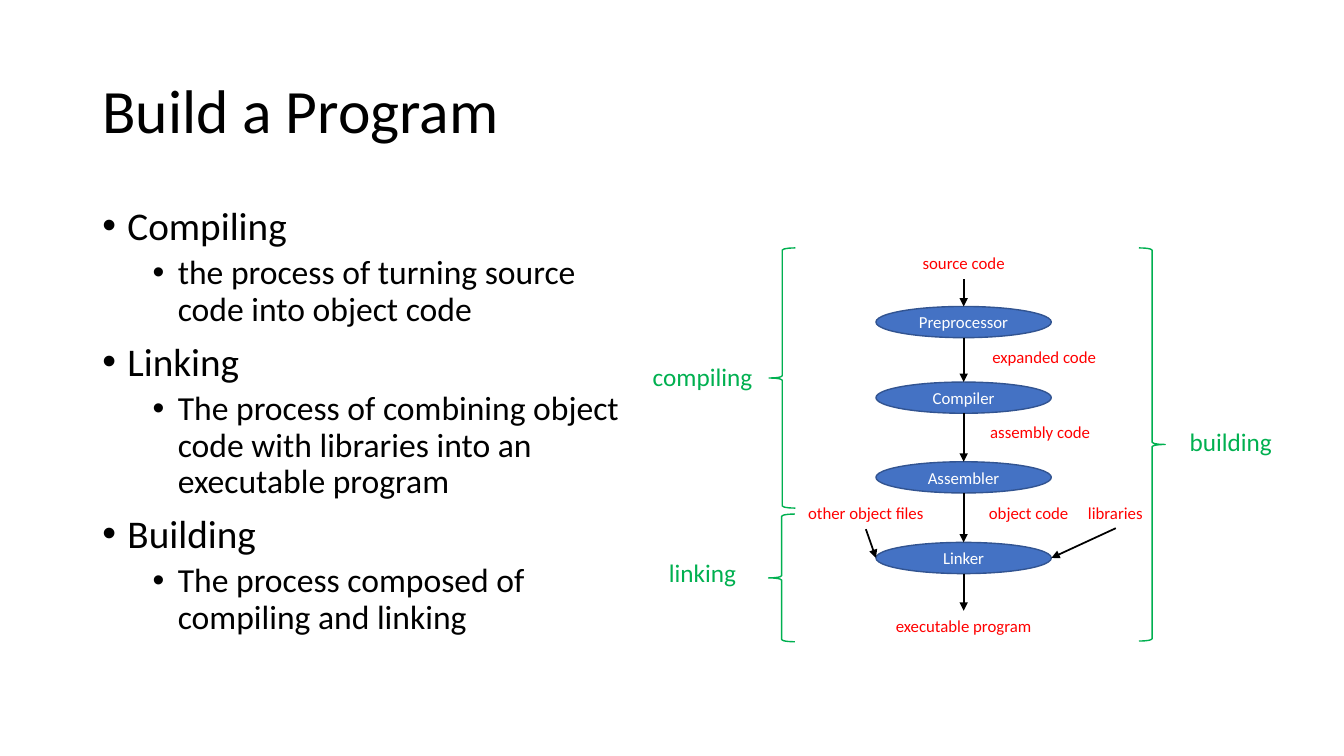
"""Build a slide on how a program is compiled, linked and built."""
from dataclasses import dataclass

from lxml import etree
from pptx import Presentation
from pptx import util as u
from pptx.dml.color import RGBColor
from pptx.enum import shapes, text
from pptx.oxml.ns import qn


@dataclass(frozen=True)
class Theme:
    font: str = "Calibri"
    ink: str = "000000"
    paper: str = "FFFFFF"
    oval: str = "4472C4"
    edge: str = "325491"
    code: str = "FF0000"
    phase: str = "00B050"
    title: int = 44
    points: tuple = (28, 24)
    large: int = 18
    small: int = 12


def write(frame, words, size, color, align="LEFT", anchor="TOP", lines=1.0,
          before=0, indent=None, first=True):
    frame.word_wrap = True
    frame.vertical_anchor = text.MSO_ANCHOR[anchor]
    para = frame.paragraphs[0] if first else frame.add_paragraph()
    para.alignment = text.PP_ALIGN[align]
    para.line_spacing = lines
    para.space_before = u.Pt(before)
    run = para.add_run()
    run.text = words
    run.font.name = Theme.font
    run.font.size = u.Pt(size)
    run.font.color.rgb = RGBColor.from_string(color)
    if indent is not None:
        props = para._p.get_or_add_pPr()
        props.set("marL", str(u.Pt(indent)))
        props.set("indent", str(u.Pt(-18)))
        etree.SubElement(props, qn("a:buFont"), typeface="Arial")
        etree.SubElement(props, qn("a:buChar"), char="•")


class Pen:
    def __init__(self, slide, theme):
        self.slide, self.theme = slide, theme

    def box(self, *area):
        return self.slide.shapes.add_textbox(*map(u.Pt, area)).text_frame

    def label(self, words, left, top, width, height=21.6, **style):
        look = dict(size=self.theme.small, color=self.theme.code, align="CENTER")
        write(self.box(left, top, width, height), words, **{**look, **style})

    def bullets(self, area, items):
        frame = self.box(*area)
        for row, (level, words) in enumerate(items):
            write(frame, words, self.theme.points[level], self.theme.ink,
                  lines=0.9, before=(10, 5)[level], indent=18 + 36 * level,
                  first=row == 0)

    def shape(self, kind, area, edge, fill=None):
        item = self.slide.shapes.add_shape(shapes.MSO_SHAPE[kind], *map(u.Pt, area))
        item.shadow.inherit = False
        item.line.color.rgb = RGBColor.from_string(edge)
        item.line.width = u.Pt(1)
        if fill:
            item.fill.solid()
            item.fill.fore_color.rgb = RGBColor.from_string(fill)
        else:
            item.fill.background()
        return item

    def oval(self, words, *area):
        item = self.shape("OVAL", area, self.theme.edge, self.theme.oval)
        write(item.text_frame, words, self.theme.small, self.theme.paper,
              align="CENTER", anchor="MIDDLE")

    def brace(self, side, *area):
        self.shape(side + "_BRACE", area, self.theme.phase)

    def arrow(self, *ends):
        item = self.slide.shapes.add_connector(
            shapes.MSO_CONNECTOR.STRAIGHT, *map(u.Pt, ends))
        item.line.color.rgb = RGBColor.from_string(self.theme.ink)
        item.line.width = u.Pt(1.25)
        etree.SubElement(item.line._get_or_add_ln(), qn("a:tailEnd"), type="triangle")
        etree.SubElement(item._element.spPr, qn("a:effectLst"))


def main():
    deck = Presentation()
    deck.slide_width, deck.slide_height = u.Pt(960), u.Pt(540)
    theme = Theme()
    pen = Pen(deck.slides.add_slide(deck.slide_layouts[6]), theme)

    write(pen.box(66, 28.8, 828, 104.4), "Build a Program", theme.title,
          theme.ink, anchor="MIDDLE", lines=0.9)
    pen.bullets((66, 144, 391.7, 342.7), [
        (0, "Compiling"),
        (1, "the process of turning source code into object code"),
        (0, "Linking"),
        (1, "The process of combining object code with libraries into an "
            "executable program"),
        (0, "Building"),
        (1, "The process composed of compiling and linking"),
    ])

    left, width, height = 625.7, 125.3, 22.3
    center, right = left + width / 2, left + width
    stages = {"Preprocessor": 218.9, "Compiler": 272.9,
              "Assembler": 329.8, "Linker": 387.4}
    for name, top in stages.items():
        pen.oval(name, left, top, width, height)

    tops = list(stages.values())
    starts = [199.4] + [top + height for top in tops]
    for start, end in zip(starts, tops + [436.3]):
        pen.arrow(center, start, center, end)
    middle = tops[-1] + height / 2
    pen.arrow(618.5, 378, left, middle)
    pen.arrow(797, 377.3, right, middle)

    for words, x, y, wide in [
        ("source code", 635.8, 177.1, 105.1),
        ("expanded code", 694.8, 244.1, 102.2),
        ("assembly code", 694.8, 297.7, 96.5),
        ("object code", 694.8, 355.2, 79.9),
        ("other object files", 568.1, 355.9, 100.8),
        ("libraries", 769, 355.2, 55.4),
        ("executable program", left, 436.3, width),
    ]:
        pen.label(words, x, y, wide)

    for side, x, y, tall, words, start, top in [
        ("LEFT", 549.4, 177.1, 185.8, "compiling", 457.9, 254.9),
        ("LEFT", 549, 367.2, 91.2, "linking", 457.9, 394.6),
        ("RIGHT", 813.6, 177.1, 280.8, "building", 835.2, 301),
    ]:
        pen.brace(side, x, y, 18.7, tall)
        pen.label(words, start, top, 87.8, 28.8, size=theme.large, color=theme.phase)

    deck.save("out.pptx")


main()
